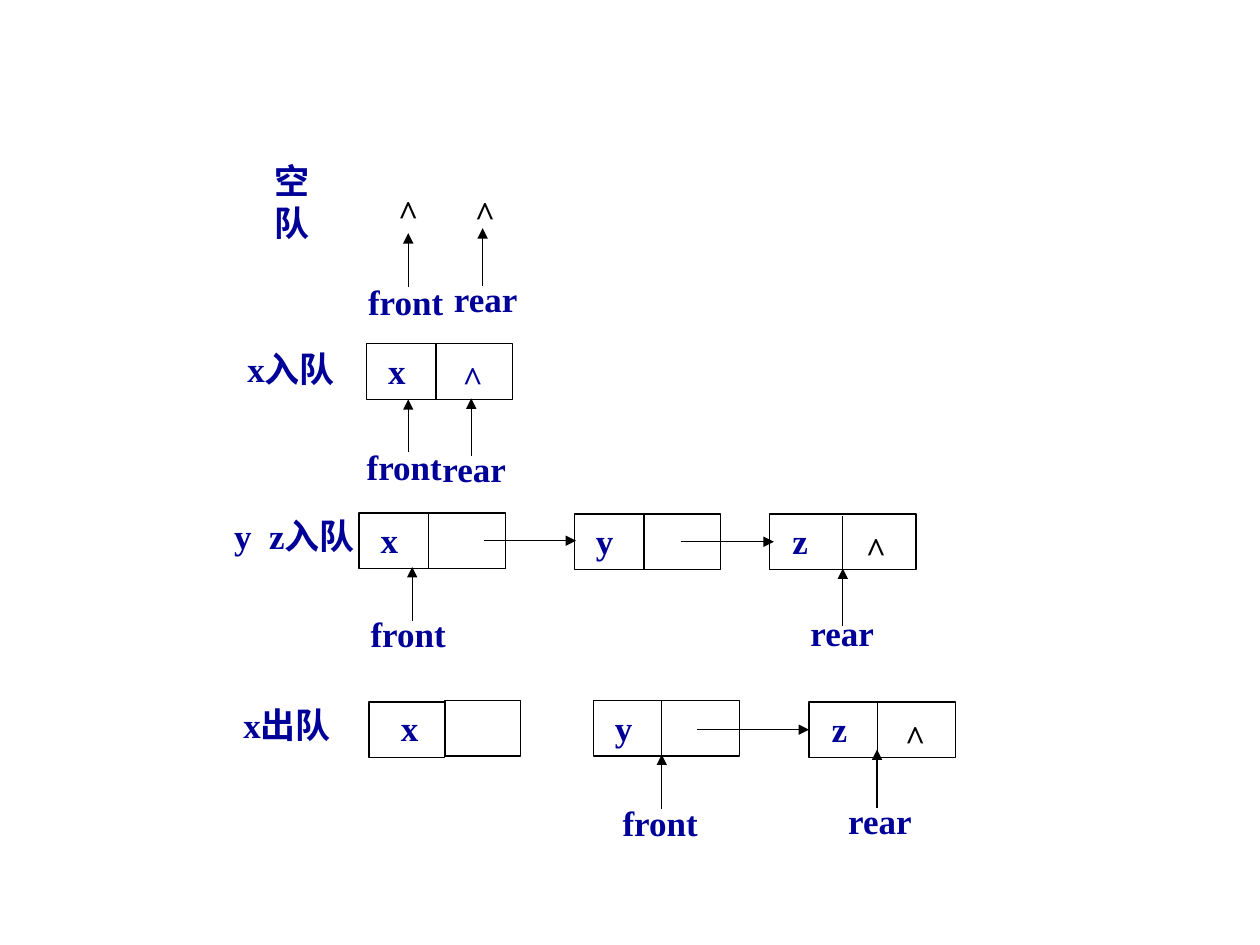
from lxml.etree import SubElement
from pptx import Presentation
from pptx.dml.color import RGBColor
from pptx.enum.shapes import MSO_CONNECTOR, MSO_SHAPE
from pptx.enum.text import MSO_ANCHOR, MSO_AUTO_SIZE, PP_ALIGN
from pptx.oxml.ns import qn
from pptx.util import Cm, Pt

COLORS = {"text": "000099", "line": "000000"}
FONT = "Times New Roman"
HEIGHT = 1.12
NODE_WIDTH = 2.95
CELL_WIDTH = 1.52
TEXT_WIDTHS = {"front": 2.03, "rear": 1.8, "^": 0.91, "x": 0.86, "y": 0.86, "z": 0.81,
               "空队": 1.9, "x入队": 2.44, "y  z入队": 3.1, "x出队": 2.44}

# text, centre, top
LABELS = [("空队", 5.88, 3.51), ("x入队", 5.87, 6.86),
          ("y  z入队", 5.94, 10.24), ("x出队", 5.79, 14.05)]
# value, left, top, divider offset, divider drop, end-mark colour
NODES = [
    ("x", 7.39, 6.93, 1.4, 0, "text"),
    ("x", 7.24, 10.34, 1.4, 0, None),
    ("y", 11.58, 10.36, 1.4, 0, None),
    ("z", 15.52, 10.36, 1.47, 0.05, "line"),
    ("y", 11.96, 14.12, 1.38, 0, None),
    ("z", 16.31, 14.15, 1.38, 0, "line"),
]
# left, top
REMOVED_CELLS = [(8.97, 14.12), (7.44, 14.15)]
REMOVED_VALUE = ("x", 8.26, 14.1)
EMPTY_MARKS = [("^", 8.23, 3.71), ("^", 9.78, 3.73)]
# name, centre, top, arrow x, arrow start, arrow end
POINTERS = [
    ("front", 8.18, 5.51, 8.23, 5.79, 4.7),
    ("rear", 9.79, 5.46, 9.73, 5.77, 4.6),
    ("front", 8.15, 8.84, 8.23, 9.12, 8.05),
    ("rear", 9.56, 8.89, 9.5, 9.19, 8.03),
    ("front", 8.23, 12.22, 8.31, 12.52, 11.43),
    ("rear", 16.98, 12.19, 16.99, 12.62, 11.46),
    ("front", 13.31, 16.03, 13.34, 16.31, 15.21),
    ("rear", 17.74, 15.98, 17.68, 16.28, 15.11),
]
# start, end, height
LINKS = [(9.75, 11.61, 10.9), (13.72, 15.6, 10.92), (14.05, 16.31, 14.71)]


def color(name):
    return RGBColor.from_string(COLORS[name])


def add_text(slide, text, center, top, color_name="text"):
    width = TEXT_WIDTHS[text]
    box = slide.shapes.add_textbox(Cm(center - width / 2), Cm(top), Cm(width), Cm(HEIGHT))
    frame = box.text_frame
    frame.word_wrap = False
    frame.auto_size = MSO_AUTO_SIZE.SHAPE_TO_FIT_TEXT
    frame.vertical_anchor = MSO_ANCHOR.MIDDLE
    paragraph = frame.paragraphs[0]
    paragraph.alignment = PP_ALIGN.CENTER
    run = paragraph.add_run()
    run.text = text
    run.font.name = FONT
    run.font.size = Pt(20)
    run.font.bold = True
    run.font.color.rgb = color(color_name)


def add_box(slide, left, top, width):
    shape = slide.shapes.add_shape(MSO_SHAPE.RECTANGLE, Cm(left), Cm(top), Cm(width), Cm(HEIGHT))
    shape.shadow.inherit = False
    shape.fill.background()
    shape.line.color.rgb = color("line")
    shape.line.width = Pt(0.75)


def add_line(slide, start, end, arrow=False):
    points = [Cm(value) for value in (*start, *end)]
    connector = slide.shapes.add_connector(MSO_CONNECTOR.STRAIGHT, *points)
    connector.line.color.rgb = color("line")
    connector.line.width = Pt(0.75)
    properties = connector._element.spPr
    if arrow:
        SubElement(properties.find(qn("a:ln")), qn("a:tailEnd"), type="triangle")
    SubElement(properties, qn("a:effectLst"))


def add_node(slide, value, left, top, divider, drop, end_color):
    add_box(slide, left, top, NODE_WIDTH)
    x = left + divider
    add_line(slide, (x, top + drop), (x, top + drop + HEIGHT))
    add_text(slide, value, left + 0.61, top - 0.02)
    if end_color:
        add_text(slide, "^", left + 2.14, top + 0.13, end_color)


def main():
    presentation = Presentation()
    presentation.slide_width = Cm(25.4)
    presentation.slide_height = Cm(19.05)
    slide = presentation.slides.add_slide(presentation.slide_layouts[6])

    for label in LABELS:
        add_text(slide, *label)
    for mark in EMPTY_MARKS:
        add_text(slide, *mark, "line")
    for node in NODES:
        add_node(slide, *node)
    for left, top in REMOVED_CELLS:
        add_box(slide, left, top, CELL_WIDTH)
    add_text(slide, *REMOVED_VALUE)
    for name, center, top, x, start, end in POINTERS:
        add_text(slide, name, center, top)
        add_line(slide, (x, start), (x, end), arrow=True)
    for start, end, y in LINKS:
        add_line(slide, (start, y), (end, y), arrow=True)

    presentation.save("out.pptx")


if __name__ == "__main__":
    main()
